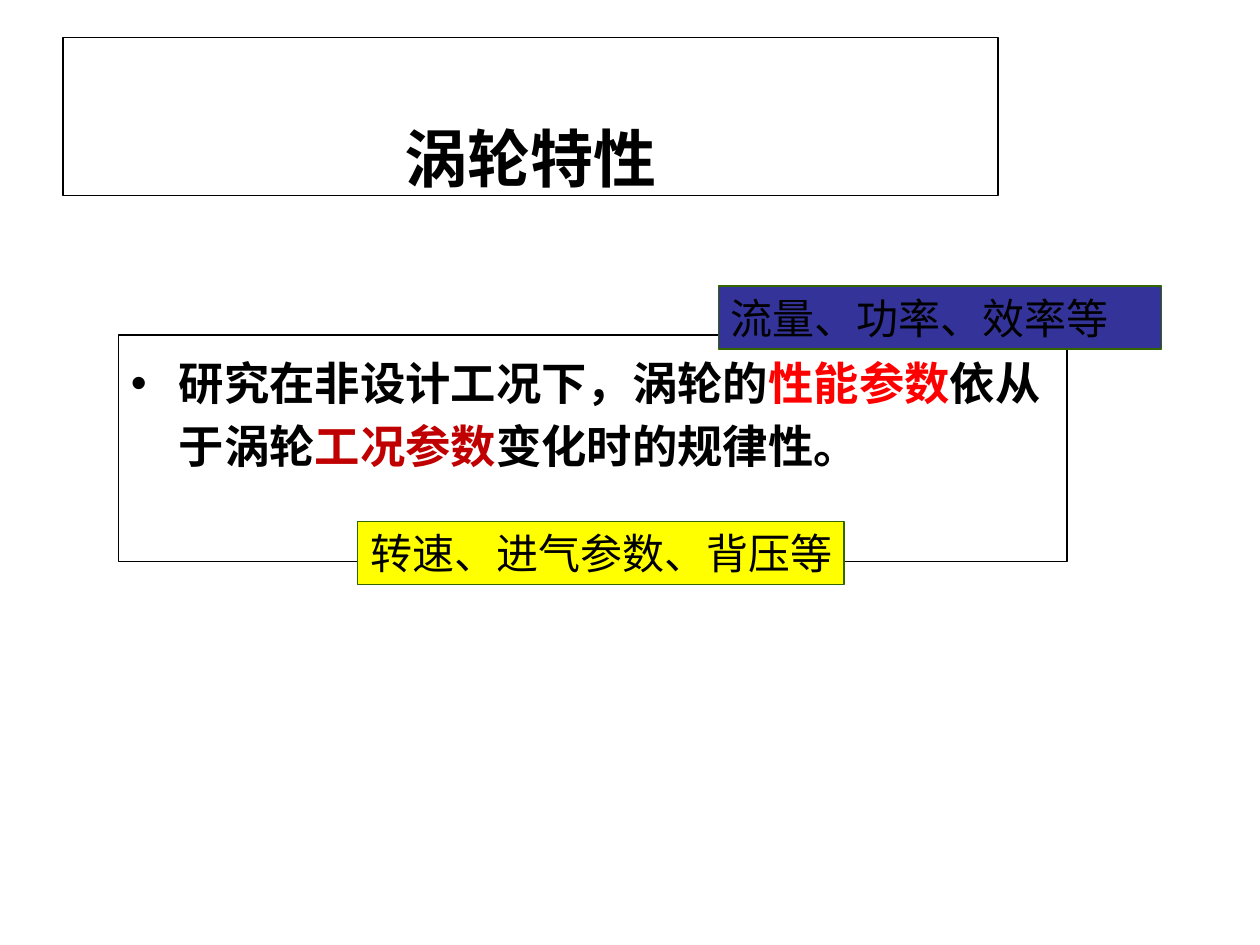
from dataclasses import dataclass

from lxml import etree
from pptx import Presentation
from pptx.dml.color import RGBColor
from pptx.enum.shapes import MSO_SHAPE
from pptx.enum.text import MSO_ANCHOR, PP_ALIGN
from pptx.oxml.ns import qn
from pptx.util import Inches, Pt

RECT = MSO_SHAPE.RECTANGLE
TOP, BOTTOM = MSO_ANCHOR.TOP, MSO_ANCHOR.BOTTOM
LEFT, CENTER = PP_ALIGN.LEFT, PP_ALIGN.CENTER

BLACK = RGBColor(0x00, 0x00, 0x00)
WHITE = RGBColor(0xFF, 0xFF, 0xFF)
RED = RGBColor(0xFF, 0x00, 0x00)
DARK_RED = RGBColor(0xC0, 0x00, 0x00)
BLUE = RGBColor(0x33, 0x33, 0x99)
YELLOW = RGBColor(0xFF, 0xFF, 0x00)
GREEN = RGBColor(0x33, 0x66, 0x00)

LATIN_FONT = "Arial"
CJK_FONT = "Noto Sans CJK SC"


@dataclass
class Box:
    left: float
    top: float
    width: float
    height: float
    runs: list[tuple[str, RGBColor]]
    size: float
    fill: RGBColor = WHITE
    line: RGBColor = BLACK
    font: str = LATIN_FONT
    bold: bool = True
    align: PP_ALIGN = LEFT
    anchor: MSO_ANCHOR = TOP
    inset_top: float = 0.05
    inset_bottom: float = 0.05
    wrap: bool = True
    bullet: bool = False
    line_spacing: float = 1.0


TITLE = Box(0.5, 0.3, 7.42, 1.25, [("涡轮特性", BLACK)], 36,
            align=CENTER, anchor=BOTTOM, inset_bottom=0)
DEFINITION = Box(0.94, 2.66, 7.53, 1.8,
                 [("研究在非设计工况下，涡轮的", BLACK), ("性能参数", RED),
                  ("依从于涡轮", BLACK), ("工况参数", DARK_RED),
                  ("变化时的规律性。", BLACK)],
                 25.9, inset_top=0.09, bullet=True, line_spacing=1.16)
PERFORMANCE = Box(5.7, 2.27, 3.52, 0.5, [("流量、功率、效率等", BLACK)], 24,
                  fill=BLUE, line=GREEN, font=CJK_FONT, bold=False)
CONDITIONS = Box(2.84, 4.14, 3.86, 0.5, [("转速、进气参数、背压等", BLACK)], 24,
                 fill=YELLOW, line=GREEN, font=CJK_FONT, bold=False, wrap=False)


def add_bullet(p) -> None:
    """Give the paragraph a round bullet with a hanging indent."""
    pPr = p._p.get_or_add_pPr()
    pPr.set("marL", str(Inches(0.38)))
    pPr.set("indent", str(Inches(-0.38)))
    etree.SubElement(pPr, qn("a:buFont"), typeface=LATIN_FONT)
    etree.SubElement(pPr, qn("a:buChar"), char="•")


def add_run(p, text: str, color: RGBColor, box: Box) -> None:
    r = p.add_run()
    r.text = text
    r.font.size = Pt(box.size)
    r.font.bold = box.bold
    r.font.color.rgb = color
    r.font.name = box.font
    etree.SubElement(r._r.get_or_add_rPr(), qn("a:ea"), typeface=CJK_FONT)


def add_box(slide, box: Box) -> None:
    sp = slide.shapes.add_shape(RECT, Inches(box.left), Inches(box.top),
                                Inches(box.width), Inches(box.height))
    sp.shadow.inherit = False
    sp.fill.solid()
    sp.fill.fore_color.rgb = box.fill
    sp.line.color.rgb = box.line
    sp.line.width = Pt(0.75)

    tf = sp.text_frame
    tf.word_wrap = box.wrap
    tf.vertical_anchor = box.anchor
    tf.margin_left = tf.margin_right = Inches(0.1)
    tf.margin_top = Inches(box.inset_top)
    tf.margin_bottom = Inches(box.inset_bottom)

    p = tf.paragraphs[0]
    if box.bullet:
        add_bullet(p)
    p.alignment = box.align
    p.line_spacing = box.line_spacing
    for text, color in box.runs:
        add_run(p, text, color, box)


def main() -> None:
    prs = Presentation()
    prs.slide_width, prs.slide_height = Inches(10), Inches(7.5)
    slide = prs.slides.add_slide(prs.slide_layouts[6])
    for box in (TITLE, DEFINITION, PERFORMANCE, CONDITIONS):
        add_box(slide, box)
    prs.save("out.pptx")


if __name__ == "__main__":
    main()
